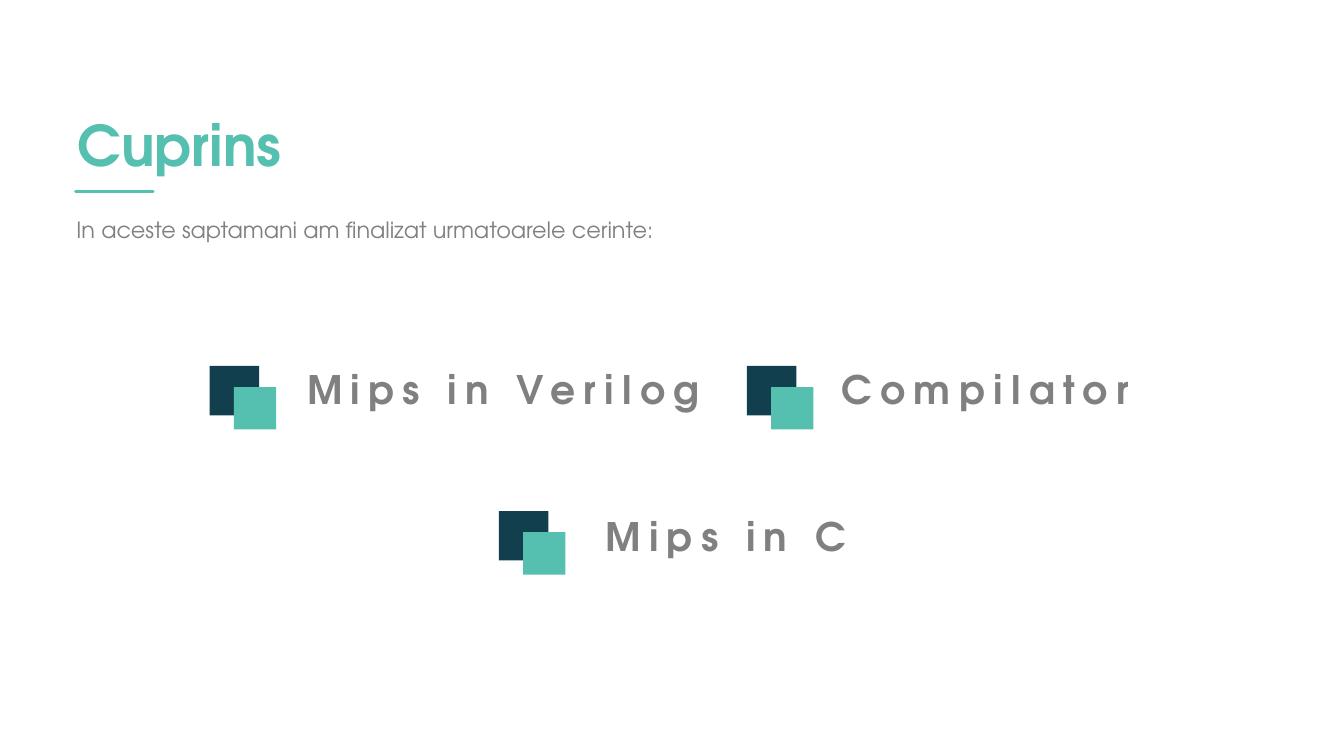
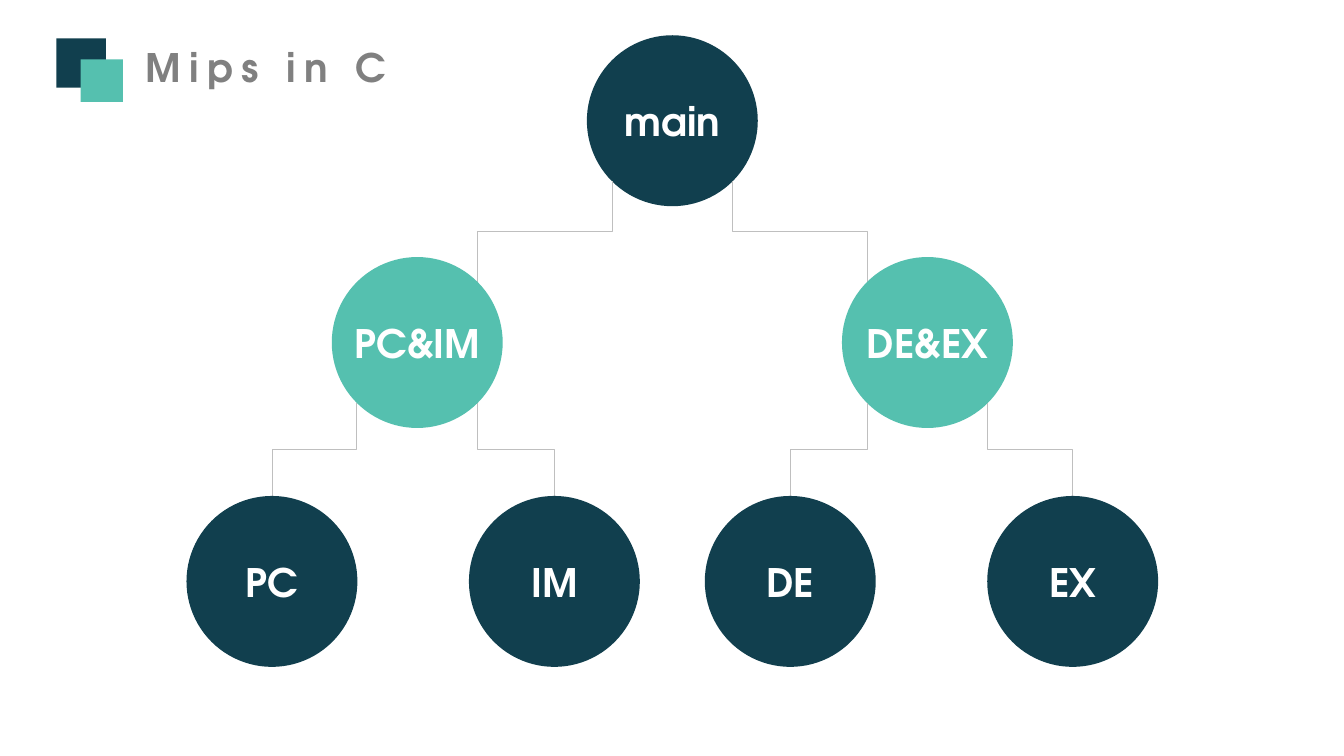
from collections import namedtuple
from math import sqrt

from lxml.etree import SubElement
from pptx import Presentation
from pptx.dml.color import RGBColor
from pptx.enum.shapes import MSO_CONNECTOR as Link, MSO_SHAPE as Preset
from pptx.enum.text import MSO_ANCHOR as Anchor, MSO_AUTO_SIZE as AutoSize, PP_ALIGN as Align
from pptx.oxml.ns import qn
from pptx.util import Emu, Inches, Pt

COLUMNS, ROWS = 160, 90
UNIT = Inches(1) / 12
FONT = "TeX Gyre Adventor"
COLORS = {
    "navy": "113F4E",
    "teal": "55C0AF",
    "gray": "808080",
    "line": "BFBFBF",
    "white": "FFFFFF",
}
HEADING = dict(size=40, color="teal", bold=True, align=Align.CENTER, wrap=False)
LABEL = dict(size=28, color="gray", bold=True, align=Align.CENTER, wrap=False, spacing=6)
NODE_TEXT = dict(size=28, color="white", bold=True, align=Align.CENTER, wrap=False,
                 anchor=Anchor.MIDDLE)
LABEL_HEIGHT = 6.84
NODE_SIZE = 20.35

Box = namedtuple("Box", "left top width height")


def grid(*cells):
    return [Emu(round(cell * UNIT)) for cell in cells]


def rgb(name):
    return RGBColor.from_string(COLORS[name])


def write(shape, text, size, color, bold=False, align=Align.LEFT, wrap=True,
          spacing=0, anchor=Anchor.TOP):
    frame = shape.text_frame
    frame.auto_size = AutoSize.NONE
    frame.word_wrap = wrap
    frame.vertical_anchor = anchor
    para = frame.paragraphs[0]
    para.alignment = align
    span = para.add_run()
    span.text = text
    font = span.font
    font.name, font.size, font.bold = FONT, Pt(size), bold
    font.color.rgb = rgb(color)
    if spacing:
        span._r.get_or_add_rPr().set("spc", str(spacing * 100))


def add_text(page, box, text, **style):
    write(page.shapes.add_textbox(*grid(*box)), text, **style)


def add_title(page, box, text, **style):
    title = page.shapes.title
    title.left, title.top, title.width, title.height = grid(*box)
    write(title, text, **style)


def add_filled(page, preset, box, color):
    shape = page.shapes.add_shape(preset, *grid(*box))
    shape.shadow.inherit = False
    shape.fill.solid()
    shape.fill.fore_color.rgb = rgb(color)
    shape.line.fill.background()
    return shape


def add_line(page, kind, start, end, color, width):
    line = page.shapes.add_connector(kind, *grid(*start, *end))
    line.line.color.rgb = rgb(color)
    line.line.width = Pt(width)
    SubElement(line._element.spPr, qn("a:effectLst"))
    return line


def add_branch(page, start, end):
    (x1, y1), (x2, y2) = start, end
    center_x, center_y = (x1 + x2) / 2, (y1 + y2) / 2
    half_x, half_y = (x2 - x1) / 2, (y2 - y1) / 2
    branch = add_line(page, Link.ELBOW, (center_x - half_y, center_y + half_x),
                      (center_x + half_y, center_y - half_x), "line", 0.5)
    branch._element.spPr.find(qn("a:xfrm")).set("rot", str(90 * 60000))


def add_badge(page, left, top):
    add_filled(page, Preset.RECTANGLE, Box(left, top, 5.88, 5.88), "navy")
    add_filled(page, Preset.RECTANGLE, Box(left + 2.88, top + 2.52, 5.04, 5.04), "teal")


def add_entry(page, box, text, indent, rise=0, place=add_text):
    label = Box(box.left + indent, box.top - rise, box.width - indent, LABEL_HEIGHT)
    place(page, label, text, **LABEL)
    add_badge(page, box.left, box.top)


def add_header(page, box, title, intro):
    add_title(page, Box(box.left, box.top, 26.88, 9.24), title, **HEADING)
    rule_y = box.top + 10.2
    rule = add_line(page, Link.STRAIGHT, (box.left + 1.08, rule_y),
                    (box.left + 10.32, rule_y), "teal", 2.25)
    rule._element.spPr.find(qn("a:ln")).set("cap", "rnd")
    add_text(page, Box(box.left, box.top + 12.6, box.width, 4.44), intro,
             size=16, color="gray")


def add_node(page, center, text, color):
    x, y = center
    box = Box(x - NODE_SIZE / 2, y - NODE_SIZE / 2, NODE_SIZE, NODE_SIZE)
    write(add_filled(page, Preset.OVAL, box, color), text, **NODE_TEXT)


def add_tree(page, box, root, branches):
    radius = NODE_SIZE / 2
    diagonal = radius / sqrt(2)
    middle = box.left + box.width / 2
    root_y = box.top + radius
    branch_y = root_y + 26.4
    leaf_y = box.top + box.height - radius
    outer, inner, reach = box.width / 2 - radius, 14.04, 30.37

    add_node(page, (middle, root_y), root, "navy")
    for side, (name, leaves) in zip((-1, 1), branches):
        branch_x = middle + side * reach
        add_branch(page, (middle + side * diagonal, root_y + diagonal),
                   (branch_x - side * diagonal, branch_y - diagonal))
        add_node(page, (branch_x, branch_y), name, "teal")
        for leaf_x, leaf in zip(sorted((middle + side * outer, middle + side * inner)), leaves):
            turn = 1 if leaf_x > branch_x else -1
            add_branch(page, (branch_x + turn * diagonal, branch_y + diagonal),
                       (leaf_x, leaf_y - radius))
            add_node(page, (leaf_x, leaf_y), leaf, "navy")


def build_contents(page):
    add_header(page, Box(7.92, 12.6, 146.28, 17.04), "Cuprins",
               "In aceste saptamani am finalizat urmatoarele cerinte:")
    add_entry(page, Box(24.96, 43.56, 60.48, 7.56), "Mips in Verilog", 9.48, rise=0.6)
    add_entry(page, Box(88.92, 43.56, 47.4, 7.56), "Compilator", 9.36, rise=0.6)
    add_entry(page, Box(59.4, 60.84, 43.2, 7.56), "Mips in C", 10.8, rise=0.48)


def build_diagram(page):
    add_entry(page, Box(6.72, 4.56, 41.16, 7.56), "Mips in C", 8.76, place=add_title)
    add_tree(page, Box(22.2, 4.2, 115.68, 75.19), "main",
             [("PC&IM", ("PC", "IM")), ("DE&EX", ("DE", "EX"))])


def main():
    deck = Presentation()
    deck.slide_width, deck.slide_height = grid(COLUMNS, ROWS)
    title_only = deck.slide_layouts[5]
    for build in (build_contents, build_diagram):
        build(deck.slides.add_slide(title_only))
    deck.save("out.pptx")


if __name__ == "__main__":
    main()
